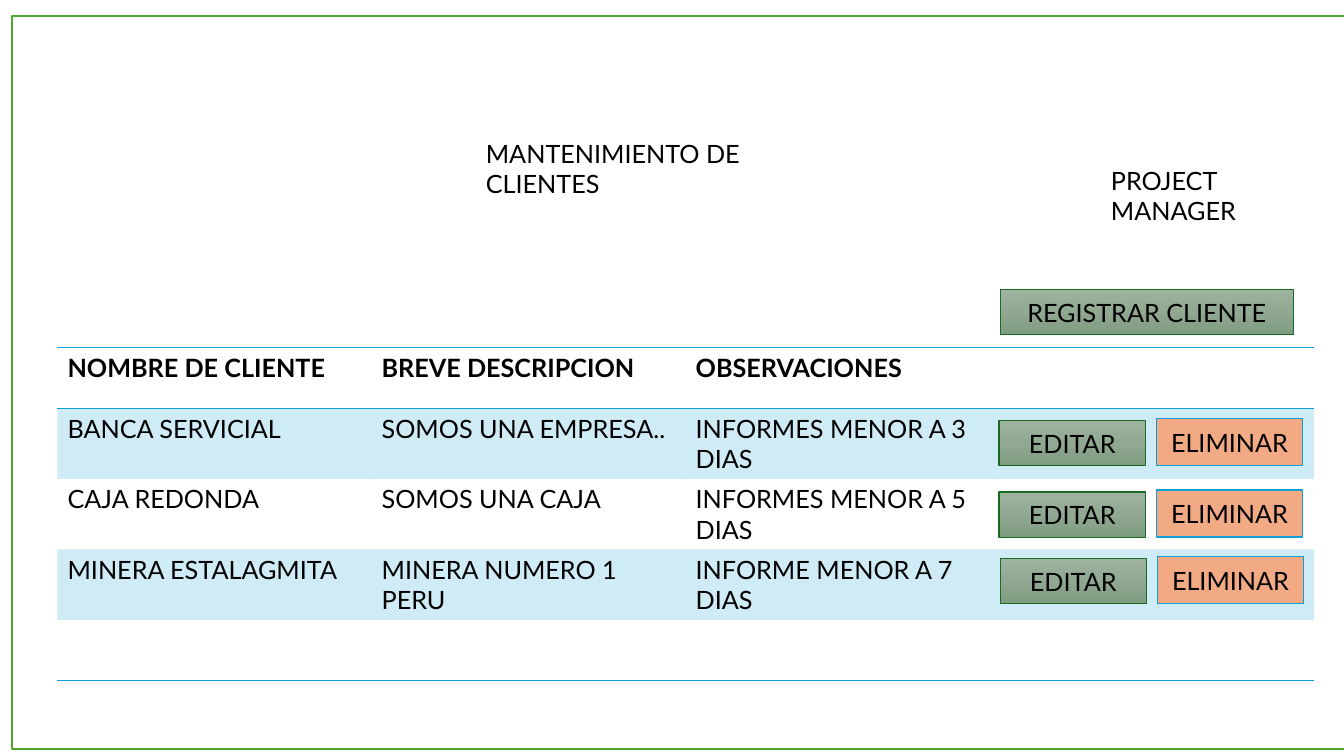
from copy import deepcopy

from lxml import etree
from pptx import Presentation
from pptx.dml.color import RGBColor
from pptx.enum.shapes import MSO_SHAPE
from pptx.enum.text import MSO_ANCHOR, PP_ALIGN
from pptx.oxml.ns import qn
from pptx.util import Inches, Pt

RECTANGLE = MSO_SHAPE.RECTANGLE
MIDDLE, LEFT, CENTER = MSO_ANCHOR.MIDDLE, PP_ALIGN.LEFT, PP_ALIGN.CENTER

# Content
LABELS = [
    ("PROJECT MANAGER", (10.92, 1.59, 2.38, 0.4)),
    ("MANTENIMIENTO DE CLIENTES", (4.72, 1.32, 3.62, 0.4)),
]
CLIENTS = [
    ("NOMBRE DE CLIENTE", "BREVE DESCRIPCION", "OBSERVACIONES", ""),
    ("BANCA SERVICIAL", "SOMOS UNA EMPRESA..", "INFORMES MENOR A 3 DIAS", ""),
    ("CAJA REDONDA", "SOMOS UNA CAJA", "INFORMES MENOR A 5 DIAS", ""),
    ("MINERA ESTALAGMITA", "MINERA NUMERO 1 PERU", "INFORME MENOR A 7 DIAS", ""),
    ("", "", "", ""),
]
REGISTER, EDIT, DELETE = "REGISTRAR CLIENTE", "EDITAR", "ELIMINAR"

# Layout in inches
FRAME = (0.12, 0.16, 13.22, 7.27)
TABLE_LEFT, TABLE_TOP = 0.57, 3.45
COLUMN_WIDTH, ROW_HEIGHT = 3.115, 0.6
BUTTON_WIDTH, EDIT_HEIGHT, DELETE_HEIGHT = 1.45, 0.45, 0.47
DELETE_SHIFT, DELETE_RISE = 1.56, 0.02
ACTION_CORNERS = [(9.91, 4.17), (9.91, 4.88), (9.92, 5.54)]
REGISTER_BOX = (9.92, 2.87, 2.91, EDIT_HEIGHT)

FONT, TEXT_SIZE = "Lato", 18
NO_STYLE = "{2D5ABB26-0587-4C30-8999-92F81FD0307C}"
COLORS = {
    "white": "FFFFFF", "text": "000000", "frame": "4EA72E",
    "blue": "0F9ED5", "orange": "F2AA84", "green": "196B24",
    "green_top": "9EB49F", "green_middle": "91A892", "green_bottom": "7D9C7E",
}


def rgb(name):
    return RGBColor.from_string(COLORS[name])


def write_text(text_frame, text, bold=False, align=LEFT):
    text_frame.word_wrap = True
    paragraph = text_frame.paragraphs[0]
    paragraph.alignment = align
    paragraph.font.size = Pt(TEXT_SIZE)
    if text:
        run = paragraph.add_run()
        run.text = text
        run.font.name = FONT
        run.font.size = Pt(TEXT_SIZE)
        run.font.bold = bold
        run.font.color.rgb = rgb("text")


def fill_green(fill):
    fill.gradient()
    fill.gradient_angle = 270
    first, last = fill.gradient_stops
    first.color.rgb, first.position = rgb("green_top"), 0
    last.color.rgb, last.position = rgb("green_bottom"), 1
    stops = fill._xPr.find(qn("a:gradFill")).find(qn("a:gsLst"))
    stops.insert(1, deepcopy(stops[0]))
    middle = fill.gradient_stops[1]
    middle.color.rgb, middle.position = rgb("green_middle"), 0.5


def add_rectangle(slide, box, fill, line, line_width=1, text=""):
    shape = slide.shapes.add_shape(RECTANGLE, *map(Inches, box))
    shape.shadow.inherit = False
    if fill == "gradient":
        fill_green(shape.fill)
    else:
        shape.fill.solid()
        shape.fill.fore_color.rgb = rgb(fill)
    shape.line.color.rgb = rgb(line)
    shape.line.width = Pt(line_width)
    shape.text_frame.vertical_anchor = MIDDLE
    write_text(shape.text_frame, text, align=CENTER)


def paint_cell(cell, tinted, sides):
    properties = cell._tc.get_or_add_tcPr()
    if tinted:
        cell.fill.solid()
        cell.fill.fore_color.rgb = rgb("blue")
        color = properties.find(".//" + qn("a:srgbClr"))
        etree.SubElement(color, qn("a:alpha"), val="20000")
    else:
        cell.fill.background()
    for index, side in enumerate(sides):
        border = etree.Element(qn("a:ln" + side), w=str(Pt(1)))
        solid = etree.SubElement(border, qn("a:solidFill"))
        etree.SubElement(solid, qn("a:srgbClr"), val=COLORS["blue"])
        properties.insert(index, border)


def add_client_table(slide):
    row_count, column_count = len(CLIENTS), len(CLIENTS[0])
    graphic_frame = slide.shapes.add_table(
        row_count, column_count, Inches(TABLE_LEFT), Inches(TABLE_TOP),
        Inches(COLUMN_WIDTH * column_count), Inches(ROW_HEIGHT * row_count))
    table = graphic_frame.table
    table._tbl.tblPr.find(qn("a:tableStyleId")).text = NO_STYLE
    borders = {0: "TB", row_count - 1: "B"}
    for row, values in enumerate(CLIENTS):
        table.rows[row].height = Inches(ROW_HEIGHT)
        for column, value in enumerate(values):
            cell = table.cell(row, column)
            write_text(cell.text_frame, value, bold=row == 0)
            paint_cell(cell, row % 2 == 1, borders.get(row, ""))


def main():
    presentation = Presentation()
    presentation.slide_width = Inches(13.33)
    presentation.slide_height = Inches(7.5)
    slide = presentation.slides.add_slide(presentation.slide_layouts[6])

    # Frame and headings
    add_rectangle(slide, FRAME, "white", "frame", line_width=1.5)
    for text, box in LABELS:
        label = slide.shapes.add_textbox(*map(Inches, box))
        write_text(label.text_frame, text)

    # Client list
    add_client_table(slide)

    # Buttons
    add_rectangle(slide, REGISTER_BOX, "gradient", "green", text=REGISTER)
    for left, top in ACTION_CORNERS:
        add_rectangle(slide, (left, top, BUTTON_WIDTH, EDIT_HEIGHT),
                      "gradient", "green", text=EDIT)
        add_rectangle(slide, (left + DELETE_SHIFT, top - DELETE_RISE,
                              BUTTON_WIDTH, DELETE_HEIGHT),
                      "orange", "blue", text=DELETE)

    presentation.save("out.pptx")


if __name__ == "__main__":
    main()
